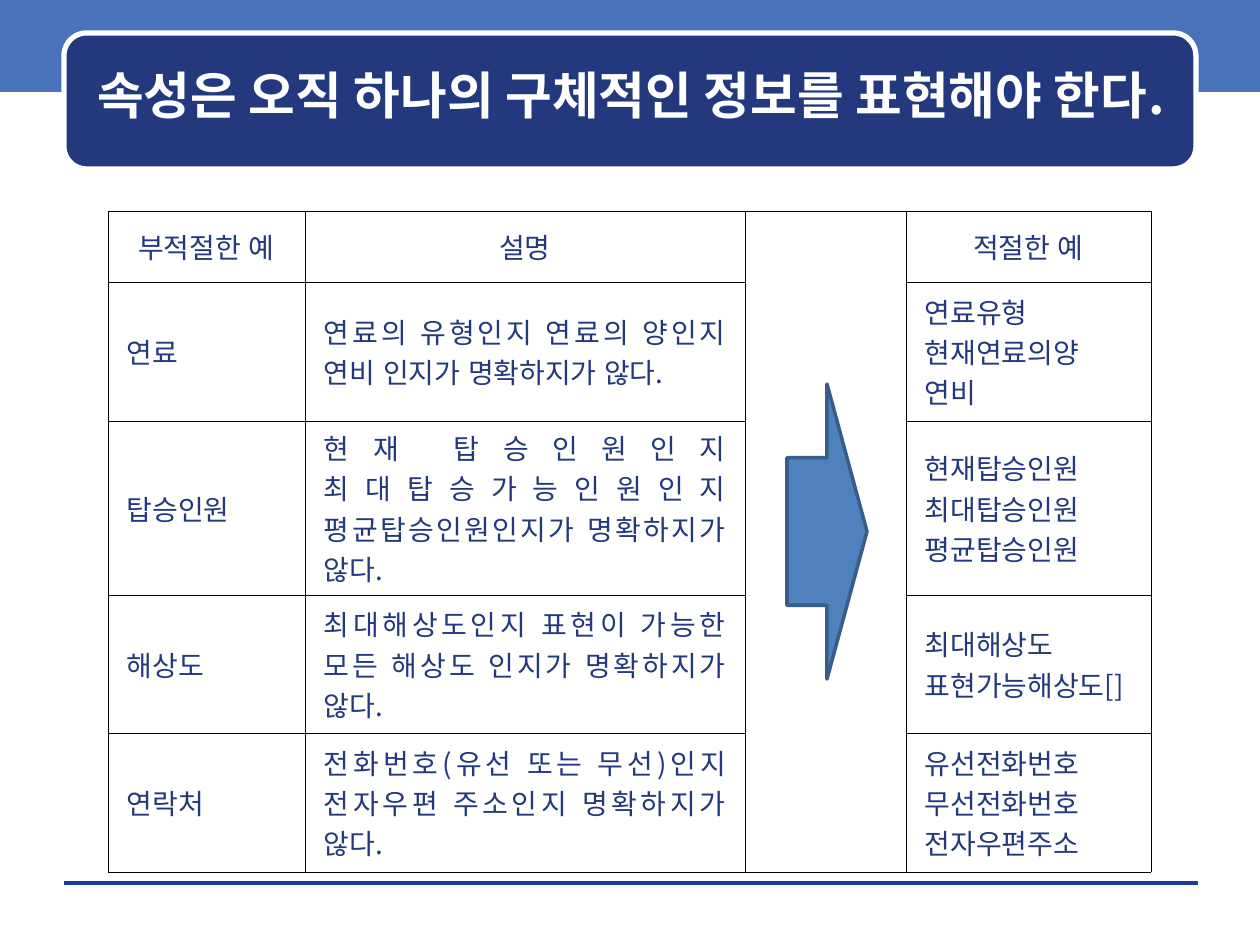
from dataclasses import dataclass

from lxml import etree
from pptx import Presentation
from pptx.dml import color
from pptx.enum import lang, shapes, text
from pptx.oxml import ns
from pptx import util as u


@dataclass(frozen=True)
class Theme:
    font: str = "Noto Sans CJK KR"
    band: str = "4972BB"
    navy: str = "23387D"
    white: str = "FFFFFF"
    rule: str = "1A3D97"
    arrow: str = "4F81BD"
    arrow_edge: str = "385D8A"
    border: str = "000000"
    title_size: int = 29
    body_size: int = 16


THEME = Theme()
SCALE = 914400 / 126
COLUMNS = (197, 440, 161, 245)
ROWS = (71, 139, 174, 138, 139)
ARROW_COLUMN = 2
HEADERS = ("부적절한 예", "설명", "", "적절한 예")
EXAMPLES = (
    ("연료", "연료의 유형인지 연료의 양인지 연비 인지가 명확하지가 않다.", "",
     "연료유형\n현재연료의양\n연비"),
    ("탑승인원", "현재 탑승인원인지 최대탑승가능인원인지 평균탑승인원인지가 명확하지가 않다.", "",
     "현재탑승인원\n최대탑승인원\n평균탑승인원"),
    ("해상도", "최대해상도인지 표현이 가능한 모든 해상도 인지가 명확하지가 않다.", "",
     "최대해상도\n표현가능해상도[]"),
    ("연락처", "전화번호(유선 또는 무선)인지 전자우편 주소인지 명확하지가 않다.", "",
     "유선전화번호\n무선전화번호\n전자우편주소"),
)


def px(length):
    return u.Emu(round(length * SCALE))


def rgb(value):
    return color.RGBColor.from_string(value)


def style_paragraph(paragraph, size, ink, alignment, bold=False):
    paragraph.alignment = alignment
    font = paragraph.font
    font.size = u.Pt(size)
    font.bold = bold
    font.name = THEME.font
    font.color.rgb = rgb(ink)
    properties = paragraph._p.get_or_add_pPr().find(ns.qn("a:defRPr"))
    etree.SubElement(properties, ns.qn("a:ea"), typeface=THEME.font)


def add_block(slide, kind, box, fill, line=None, width=0):
    shape = slide.shapes.add_shape(kind, *map(px, box))
    shape.shadow.inherit = False
    shape.fill.solid()
    shape.fill.fore_color.rgb = rgb(fill)
    if line:
        shape.line.color.rgb = rgb(line)
        shape.line.width = u.Pt(width)
    else:
        shape.line.fill.background()
    return shape


def add_rule(slide, left, right, y):
    connector = slide.shapes.add_connector(
        shapes.MSO_CONNECTOR.STRAIGHT, px(left), px(y), px(right), px(y))
    connector.line.color.rgb = rgb(THEME.rule)
    connector.line.width = u.Pt(0)
    etree.SubElement(connector._element.spPr, ns.qn("a:effectLst"))


def add_title(slide, wording, box):
    frame = slide.shapes.add_textbox(*map(px, box)).text_frame
    frame.word_wrap = True
    frame.vertical_anchor = text.MSO_ANCHOR.MIDDLE
    frame.margin_left = frame.margin_right = px(18)
    frame.text = wording
    paragraph = frame.paragraphs[0]
    paragraph.line_spacing = 0.8
    style_paragraph(paragraph, THEME.title_size, THEME.white, text.PP_ALIGN.CENTER, True)


def add_borders(cell):
    properties = cell._tc.get_or_add_tcPr()
    for index, side in enumerate(("lnL", "lnR", "lnT", "lnB")):
        line = etree.Element(ns.qn(f"a:{side}"), w=str(u.Pt(0.45)))
        fill = etree.SubElement(line, ns.qn("a:solidFill"))
        etree.SubElement(fill, ns.qn("a:srgbClr"), val=THEME.border)
        properties.insert(index, line)


def fill_cell(cell, wording, alignment):
    cell.fill.background()
    add_borders(cell)
    cell.vertical_anchor = text.MSO_ANCHOR.MIDDLE
    cell.margin_left = cell.margin_right = px(19)
    cell.margin_top = cell.margin_bottom = px(6)
    cell.text = wording
    for paragraph in cell.text_frame.paragraphs:
        style_paragraph(paragraph, THEME.body_size, THEME.navy, alignment)
        for run in paragraph.runs:
            run.font.language_id = lang.MSO_LANGUAGE_ID.KOREAN


def add_examples_table(slide, left, top):
    table = slide.shapes.add_table(
        len(ROWS), len(COLUMNS), px(left), px(top), px(sum(COLUMNS)), px(sum(ROWS))).table
    table.first_row = table.horz_banding = False
    for column, width in zip(table.columns, COLUMNS):
        column.width = px(width)
    for row, height in zip(table.rows, ROWS):
        row.height = px(height)
    for row, wordings in zip(table.rows, (HEADERS, *EXAMPLES)):
        alignment = text.PP_ALIGN.CENTER if wordings is HEADERS else text.PP_ALIGN.JUSTIFY
        for cell, wording in zip(row.cells, wordings):
            fill_cell(cell, wording, alignment)
    table.cell(0, ARROW_COLUMN).merge(table.cell(len(ROWS) - 1, ARROW_COLUMN))


def main():
    presentation = Presentation()
    presentation.slide_width, presentation.slide_height = px(1260), px(945)
    slide = presentation.slides.add_slide(presentation.slide_layouts[6])
    kinds = shapes.MSO_SHAPE
    add_block(slide, kinds.RECTANGLE, (0, -4, 1260, 96), THEME.band)
    add_rule(slide, 64, 1198, 883)
    add_block(slide, kinds.ROUNDED_RECTANGLE, (64, 33, 1132, 136), THEME.navy, THEME.white, 3)
    add_title(slide, "속성은 오직 하나의 구체적인 정보를 표현해야 한다.", (76, 44, 1110, 111))
    add_examples_table(slide, 108, 211)
    add_block(slide, kinds.RIGHT_ARROW, (787, 384, 80, 295), THEME.arrow, THEME.arrow_edge, 2)
    presentation.save("out.pptx")


if __name__ == "__main__":
    main()
